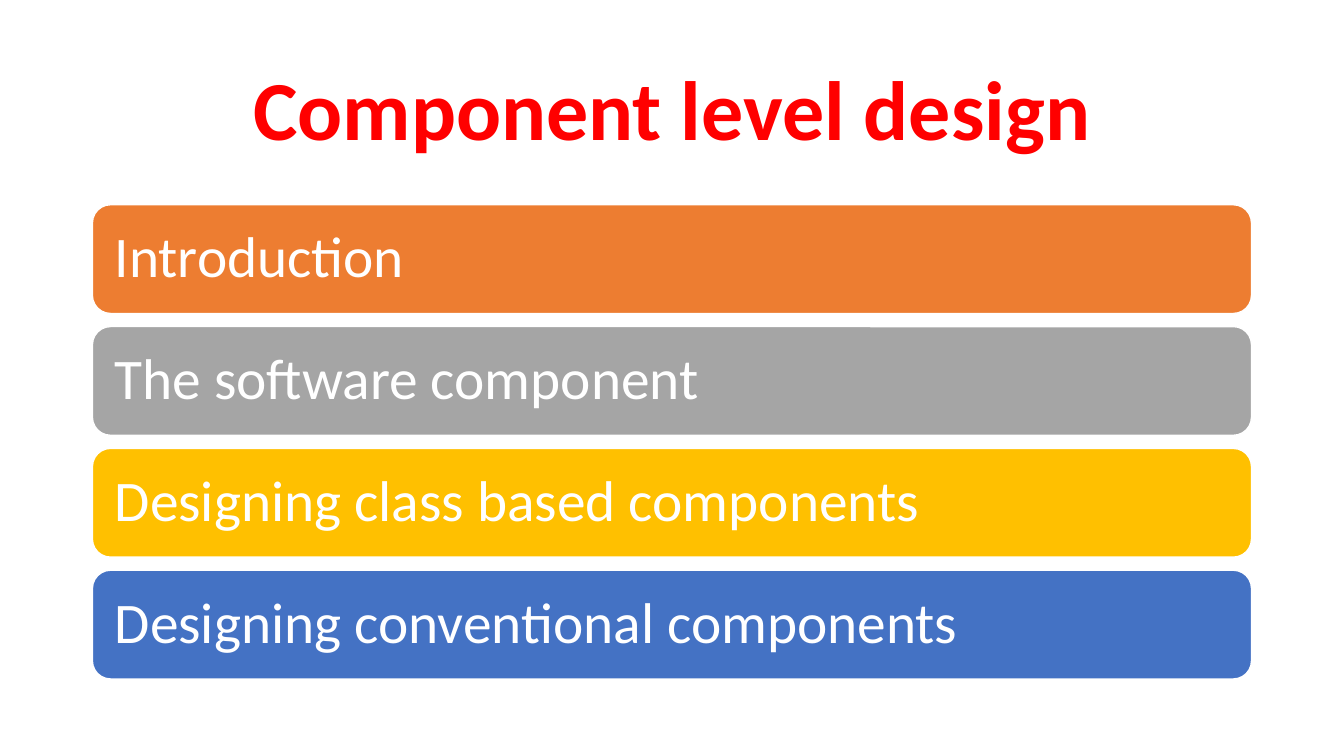
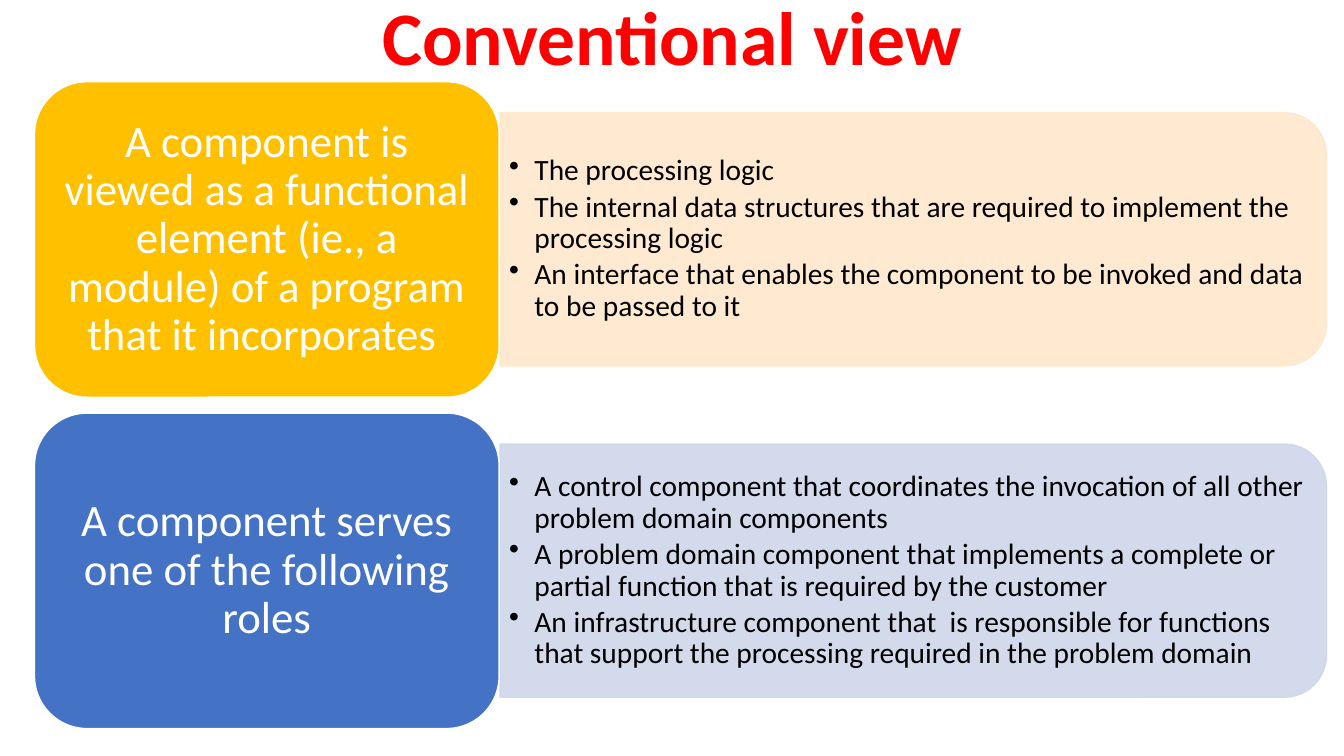
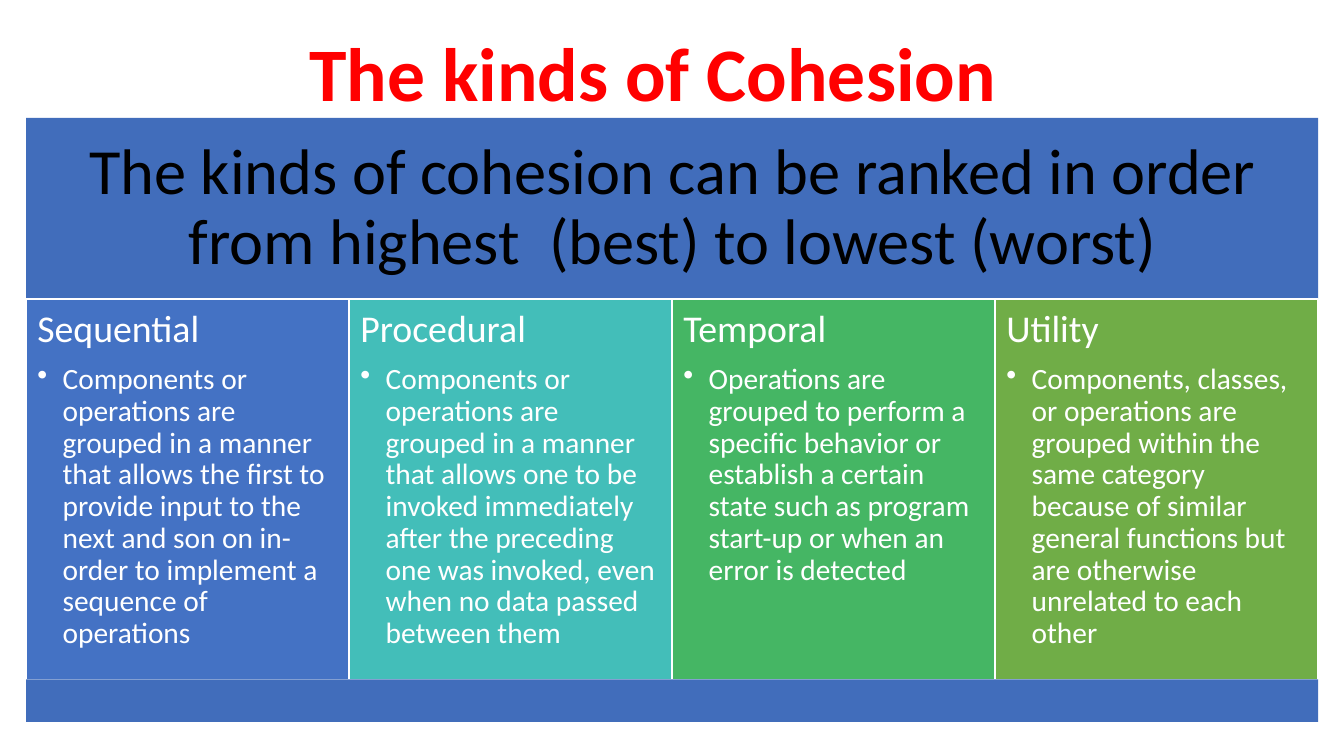
from lxml.etree import SubElement
from pptx import Presentation
from pptx.dml.color import RGBColor
from pptx.enum.shapes import MSO_SHAPE as Preset
from pptx.enum.text import MSO_ANCHOR as Anchor, MSO_AUTO_SIZE as AutoSize, PP_ALIGN as Align
from pptx.oxml.ns import qn
from pptx.util import Cm, Pt

COLORS = {
    "title": "FF0000", "white": "FFFFFF", "black": "000000",
    "orange": "ED7D31", "gray": "A5A5A5", "gold": "FFC000", "blue": "4472C4",
    "peach": "FFE8CC", "pale_blue": "CFD6EA", "band": "416DBB",
    "teal": "43BEB9", "green": "45B664", "olive": "70AD47",
}
FONT = "Calibri"
BODY_SIZE = 21
LINE_SPACING = 0.9


def color(name):
    """Return the named palette colour."""
    return RGBColor.from_string(COLORS[name])


class Deck:
    """Hold the shared style and the current slide."""

    def __init__(self):
        """Start a widescreen presentation."""
        self.presentation = Presentation()
        self.presentation.slide_width = Cm(33.87)
        self.presentation.slide_height = Cm(19.05)
        self.slide = None

    def add_slide(self, title, left, top, height, size):
        """Add a title-only slide with a centred red title."""
        self.slide = self.presentation.slides.add_slide(self.presentation.slide_layouts[5])
        heading = self.slide.shapes.title
        heading.left, heading.top = Cm(left), Cm(top)
        heading.width, heading.height = Cm(29.21), Cm(height)
        self.frame(heading, (0.25, 0.13), Anchor.MIDDLE)
        heading.text_frame.text = title
        self.style(heading.text_frame.paragraphs[0], size, "title", Align.CENTER, 0, bold=True)

    def frame(self, holder, insets, anchor):
        """Set wrapping, margins and anchor of a text frame."""
        frame = holder.text_frame
        frame.auto_size = AutoSize.NONE
        frame.word_wrap = True
        frame.vertical_anchor = anchor
        frame.margin_left = frame.margin_right = Cm(insets[0])
        frame.margin_top = frame.margin_bottom = Cm(insets[1])

    def style(self, paragraph, size, ink, align=Align.LEFT, after=0.35, bold=False):
        """Format a paragraph and its runs."""
        paragraph.alignment = align
        paragraph.line_spacing = LINE_SPACING
        paragraph.space_before = Pt(0)
        paragraph.space_after = Pt(round(size * after, 1))
        for run in paragraph.runs:
            run.font.name = FONT
            run.font.size = Pt(size)
            run.font.bold = bold
            run.font.color.rgb = color(ink)

    def bullet(self, paragraph, ink):
        """Format a paragraph as a bulleted body line."""
        self.style(paragraph, BODY_SIZE, ink, after=0.15)
        properties = paragraph._p.get_or_add_pPr()
        properties.set("marL", str(Cm(0.64)))
        properties.set("indent", str(Cm(-0.64)))
        SubElement(properties, qn("a:buChar")).set("char", "•")

    def box(self, preset, left, top, width, height, fill, line="white"):
        """Add a filled preset shape with a thin line or none."""
        shape = self.slide.shapes.add_shape(preset, Cm(left), Cm(top), Cm(width), Cm(height))
        shape.shadow.inherit = False
        shape.fill.solid()
        shape.fill.fore_color.rgb = color(fill)
        if line:
            shape.line.color.rgb = color(line)
            shape.line.width = Pt(1)
        else:
            shape.line.fill.background()
        return shape

    def label(self, shape, text, size, insets, align=Align.LEFT, ink="white"):
        """Write one vertically centred paragraph in a shape."""
        self.frame(shape, insets, Anchor.MIDDLE)
        shape.text_frame.text = text
        self.style(shape.text_frame.paragraphs[0], size, ink, align)

    def panel(self, left, top, width, height, fill, points):
        """Add a translucent panel rounded on its right, with bullets over it."""
        shape = self.box(Preset.ROUND_2_SAME_RECTANGLE, left + (width - height) / 2,
                         top + (height - width) / 2, height, width, fill, fill)
        shape.rotation = 90
        for tint in shape.element.spPr.iter(qn("a:srgbClr")):
            SubElement(tint, qn("a:alpha")).set("val", "90000")
        details = self.slide.shapes.add_textbox(
            Cm(left), Cm(top + 0.32), Cm(width - 0.31), Cm(height - 0.64))
        self.frame(details, (0.23, 0.1), Anchor.MIDDLE)
        details.text_frame.text = "\n".join(points)
        for paragraph in details.text_frame.paragraphs:
            self.bullet(paragraph, "black")

    def column(self, left, top, width, height, fill, heading, detail):
        """Add a column with a heading and a bullet."""
        shape = self.box(Preset.RECTANGLE, left, top, width, height, fill)
        self.frame(shape, (0.28, 0.28), Anchor.TOP)
        shape.text_frame.text = f"{heading}\n{detail}"
        first, second = shape.text_frame.paragraphs
        self.style(first, 27, "white")
        self.bullet(second, "white")


TOPICS = [
    ("Introduction", "orange"),
    ("The software component", "gray"),
    ("Designing class based components", "gold"),
    ("Designing conventional components", "blue"),
]
VIEWS = [
    ("A component is viewed as a functional element (ie., a module) of a program "
     "that it incorporates ", "gold", "peach",
     ["The processing logic",
      "The internal data structures that are required to implement the processing logic",
      "An interface that enables the component to be invoked and data to be passed to it"]),
    ("A component serves one of the following roles", "blue", "pale_blue",
     ["A control component that coordinates the invocation of all other problem domain "
      "components",
      "A problem domain component that implements a complete or partial function that is "
      "required by the customer",
      "An infrastructure component that  is responsible for functions that support the "
      "processing required in the problem domain "]),
]
COHESION = [
    ("Sequential", "blue",
     "Components or operations are grouped in a manner that allows the first to provide "
     "input to the next and son on in-order to implement a sequence of operations"),
    ("Procedural", "teal",
     "Components or operations are grouped in a manner that allows one to be invoked "
     "immediately after the preceding one was invoked, even when no data passed between them"),
    ("Temporal", "green",
     "Operations are grouped to perform a specific behavior or establish a certain state "
     "such as program start-up or when an error is detected"),
    ("Utility", "olive",
     "Components, classes, or operations are grouped within the same category because of "
     "similar general functions but are otherwise unrelated to each other "),
]

deck = Deck()

deck.add_slide("Component level design", 2.33, 1.01, 3.68, 60)
for row, (topic, fill) in enumerate(TOPICS):
    bar = deck.box(Preset.ROUNDED_RECTANGLE, 2.33, 5.16 + row * 3.07, 29.21, 2.74, fill)
    deck.label(bar, topic, 41, (0.43, 0.43))

deck.add_slide("Conventional view", 2.33, 0, 2.06, 54)
for row, (view, fill, tint, points) in enumerate(VIEWS):
    top = 2.06 + row * 8.35
    deck.panel(12.6, top + 0.78, 20.83, 6.38, tint, points)
    block = deck.box(Preset.ROUNDED_RECTANGLE, 0.87, top, 11.71, 7.95, fill)
    deck.label(block, view, 32, (0.33, 0.18), Align.CENTER)

deck.add_slide("The kinds of Cohesion", 1.85, 0.91, 2.06, 54)
band_left, band_width = 0.66, 32.56
ranking = deck.box(Preset.RECTANGLE, band_left, 2.97, band_width, 4.57, "band", None)
deck.label(ranking, "The kinds of cohesion can be ranked in order from highest  (best) "
           "to lowest (worst)", 46, (0.48, 0.48), Align.CENTER, "black")
column_width = band_width / len(COHESION)
for index, (kind, fill, meaning) in enumerate(COHESION):
    deck.column(band_left + index * column_width, 7.54, column_width, 9.58, fill, kind, meaning)
deck.box(Preset.RECTANGLE, band_left, 17.12, band_width, 1.07, "band", None)

deck.presentation.save("out.pptx")
